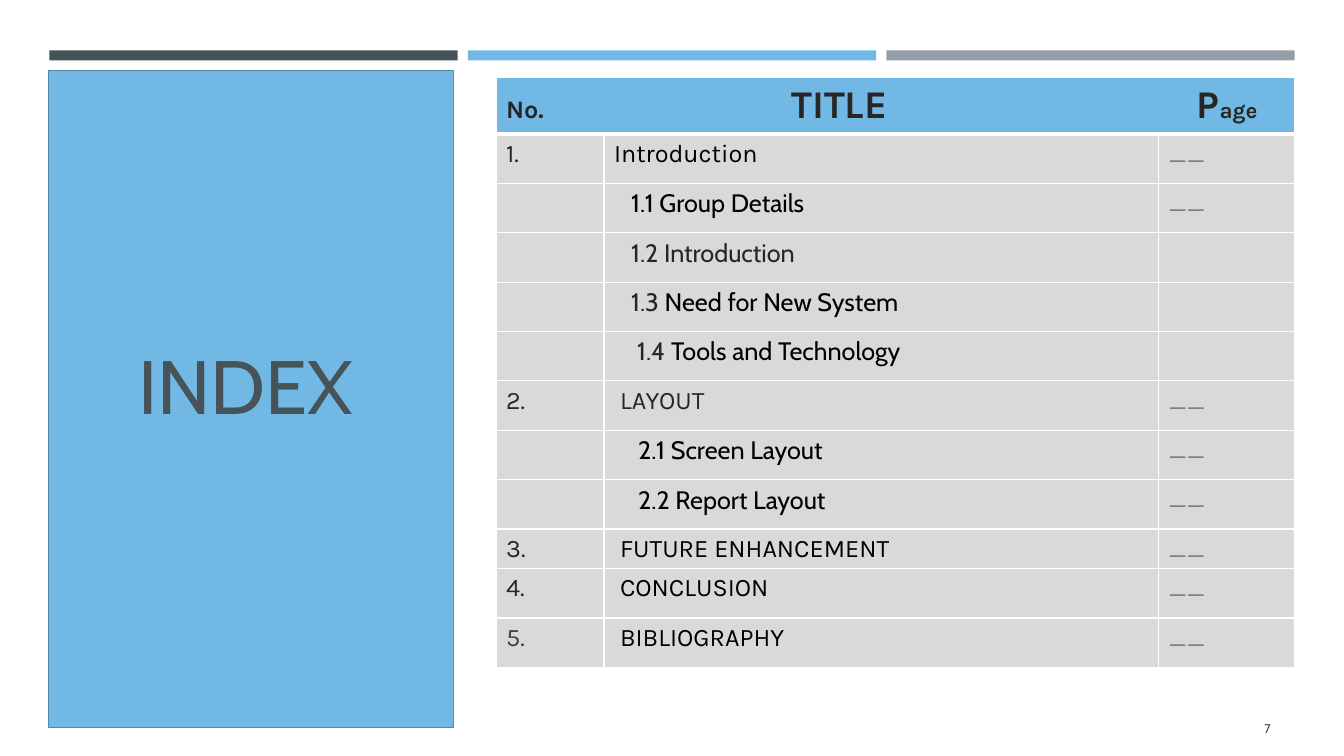
from lxml.etree import SubElement
from pptx import Presentation
from pptx.dml.color import RGBColor
from pptx.enum.shapes import MSO_SHAPE
from pptx.enum.text import MSO_ANCHOR, MSO_AUTO_SIZE, PP_ALIGN
from pptx.oxml import parse_xml
from pptx.oxml.ns import nsdecls, qn
from pptx.util import Inches, Pt

BLUE, SLATE, GRAY = "71B9E4", "465359", "969FA7"
BLACK, DARK, MEDIUM, PALE = "000000", "262626", "808080", "D9D9D9"
COLUMN_WIDTHS = [1.07, 5.5, 1.35]
ROW_HEIGHTS = [0.56] + [0.49] * 8 + [0.39] + [0.49] * 2
HEADER_TABS = [2.83, 6.85]
PAGE_MARK = "__"

# Each entry: number, number colour, indent, title runs (text, font, colour), page
ENTRIES = [
    ("1.", DARK, 0, [("Introduction", "Karla", BLACK)], PAGE_MARK),
    ("", DARK, 0.17, [("1.1 Group Details", "Cabin", BLACK)], PAGE_MARK),
    ("", DARK, 0.17, [("1.2 Introduction", "Cabin", DARK)], ""),
    ("", DARK, 0.17, [("1.3 ", "Cabin", DARK), ("Need for New System", "Cabin", BLACK)], ""),
    ("", DARK, 0.23, [("1.4 ", "Cabin", DARK), ("Tools and Technology", "Cabin", BLACK)], ""),
    ("2.", DARK, 0.06, [("LAYOUT", "Karla", DARK)], PAGE_MARK),
    ("", DARK, 0.24, [("2.1 Screen Layout", "Cabin", BLACK)], PAGE_MARK),
    ("", DARK, 0.24, [("2.2 Report Layout", "Cabin", BLACK)], PAGE_MARK),
    ("3.", DARK, 0.06, [("FUTURE ENHANCEMENT", "Karla", BLACK)], PAGE_MARK),
    ("4.", DARK, 0.06, [("CONCLUSION", "Karla", BLACK)], PAGE_MARK),
    ("5.", "404040", 0.06, [("BIBLIOGRAPHY", "Karla", BLACK)], PAGE_MARK),
]


def color(value):
    return RGBColor.from_string(value)


def add_run(paragraph, text, size, font_name, text_color, bold=False):
    run = paragraph.add_run()
    run.text = text
    run.font.size = Pt(size)
    run.font.name = font_name
    run.font.bold = bold
    run.font.color.rgb = color(text_color)


def set_indent(paragraph, indent):
    paragraph._p.get_or_add_pPr().set("marL", str(Inches(indent)))


def add_rectangle(slide, left, top, width, height, fill, line=None):
    shape = slide.shapes.add_shape(
        MSO_SHAPE.RECTANGLE, Inches(left), Inches(top), Inches(width), Inches(height))
    shape.shadow.inherit = False
    shape.fill.solid()
    shape.fill.fore_color.rgb = color(fill)
    if line:
        shape.line.color.rgb = color(line)
        shape.line.width = Pt(1)
    else:
        shape.line.fill.background()


def style_cell(cell, fill, bottom=1):
    cell.fill.solid()
    cell.fill.fore_color.rgb = color(fill)
    properties = cell._tc.get_or_add_tcPr()
    for position, side in enumerate("LRTB"):
        width = Pt(bottom if side == "B" else 1)
        properties.insert(position, parse_xml(
            f'<a:ln{side} {nsdecls("a")} w="{width}"><a:solidFill>'
            f'<a:srgbClr val="FFFFFF"/></a:solidFill></a:ln{side}>'))


def fill_header(table):
    for cell in table.rows[0].cells:
        style_cell(cell, BLUE, bottom=3)
    header = table.cell(0, 0)
    header.merge(table.cell(0, 2))
    paragraph = header.text_frame.paragraphs[0]
    tab_list = SubElement(paragraph._p.get_or_add_pPr(), qn("a:tabLst"))
    for stop in HEADER_TABS:
        SubElement(tab_list, qn("a:tab"), pos=str(Inches(stop)), algn="l")
    for text, size in [("No.", 18), ("\tTITLE", 28), ("\tP", 28), ("age", 16)]:
        add_run(paragraph, text, size, "Karla", DARK, bold=True)


def add_index_table(slide):
    table = slide.shapes.add_table(
        len(ROW_HEIGHTS), len(COLUMN_WIDTHS), Inches(4.92), Inches(0.77),
        Inches(sum(COLUMN_WIDTHS)), Inches(sum(ROW_HEIGHTS))).table
    for column, width in zip(table.columns, COLUMN_WIDTHS):
        column.width = Inches(width)
    for row, height in zip(table.rows, ROW_HEIGHTS):
        row.height = Inches(height)
    fill_header(table)
    for row_index, (number, number_color, indent, title, page) in enumerate(ENTRIES, 1):
        cells = list(table.rows[row_index].cells)
        contents = [[(number, "Karla", number_color)], title, [(page, "Karla", MEDIUM)]]
        for cell, runs in zip(cells, contents):
            style_cell(cell, PALE)
            for text, font_name, text_color in runs:
                if text:
                    add_run(cell.text_frame.paragraphs[0], text, 18, font_name, text_color)
        set_indent(cells[1].text_frame.paragraphs[0], indent)


def place_title(slide):
    title = slide.shapes.title
    title.left, title.top = Inches(0.75), Inches(2.39)
    title.width, title.height = Inches(3.64), Inches(1.92)
    frame = title.text_frame
    frame.auto_size = MSO_AUTO_SIZE.NONE
    frame.word_wrap = True
    frame.vertical_anchor = MSO_ANCHOR.BOTTOM
    paragraph = frame.paragraphs[0]
    paragraph.alignment = PP_ALIGN.LEFT
    set_indent(paragraph, 0.52)
    add_run(paragraph, "INDEX", 54, "Cabin", SLATE)
    # Bring the title in front of the panel
    slide.shapes.element.append(title.element)


def add_page_number(slide):
    box = slide.shapes.add_textbox(Inches(11.55), Inches(7.03), Inches(1.15), Inches(0.4))
    frame = box.text_frame
    frame.word_wrap = True
    frame.vertical_anchor = MSO_ANCHOR.MIDDLE
    paragraph = frame.paragraphs[0]
    paragraph.alignment = PP_ALIGN.RIGHT
    add_run(paragraph, "7", 9, "Cabin", "404040")


def main():
    presentation = Presentation()
    presentation.slide_width, presentation.slide_height = Inches(13.33), Inches(7.5)
    slide = presentation.slides.add_slide(presentation.slide_layouts[5])
    # Top bars
    for index, fill in enumerate([SLATE, BLUE, GRAY]):
        add_rectangle(slide, 0.49 + 4.15 * index, 0.5, 4.05, 0.1, fill)
    # Index table
    add_index_table(slide)
    # Title panel
    add_rectangle(slide, 0.48, 0.7, 4.02, 6.52, BLUE, line="5489A9")
    place_title(slide)
    add_page_number(slide)
    presentation.save("out.pptx")


if __name__ == "__main__":
    main()
